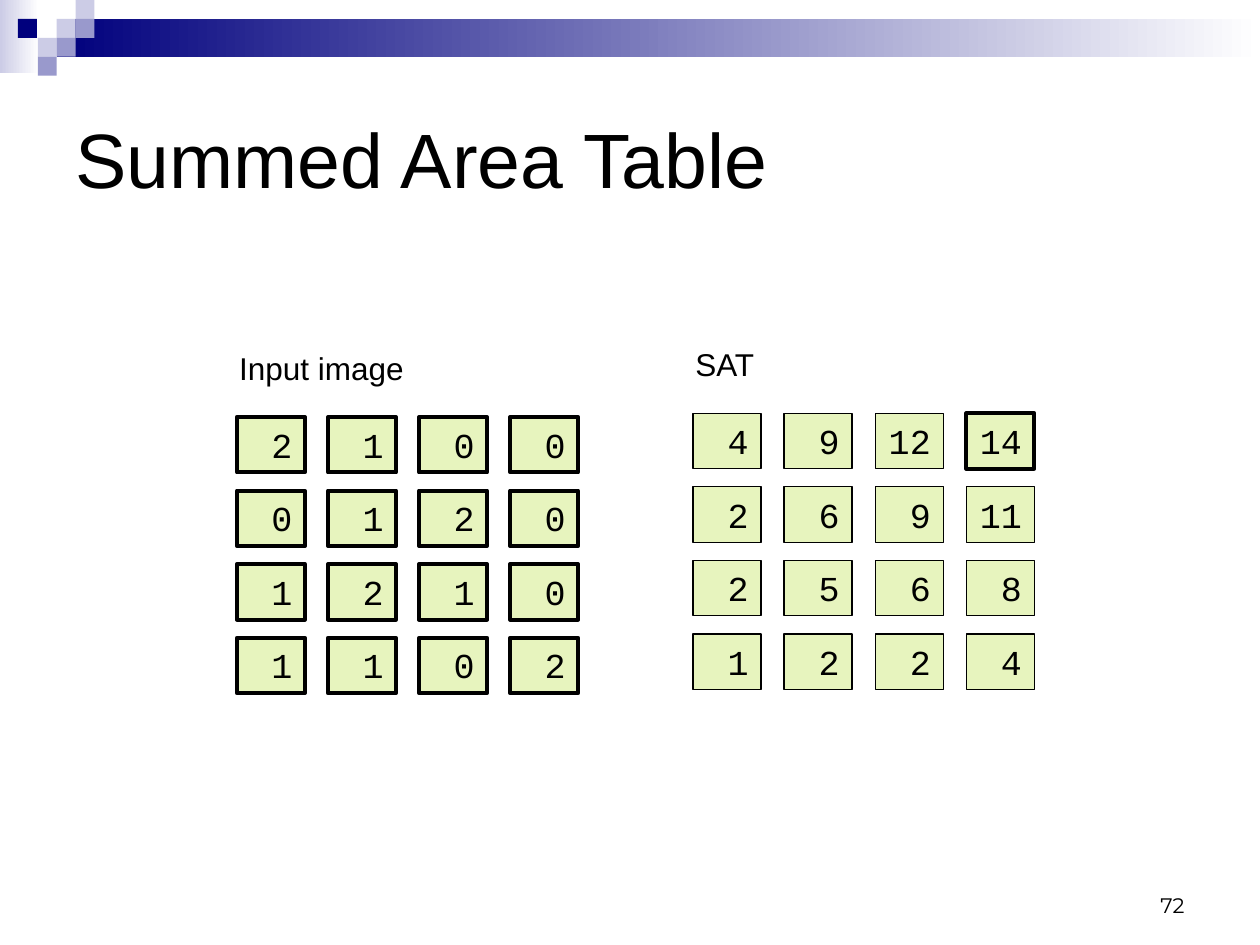
from pptx import Presentation
from pptx.dml.color import RGBColor
from pptx.enum.shapes import MSO_SHAPE
from pptx.enum.text import MSO_ANCHOR, PP_ALIGN
from pptx.util import Inches, Pt

RECT = MSO_SHAPE.RECTANGLE
LEFT, RIGHT = PP_ALIGN.LEFT, PP_ALIGN.RIGHT
TOP, MIDDLE, BOTTOM = MSO_ANCHOR.TOP, MSO_ANCHOR.MIDDLE, MSO_ANCHOR.BOTTOM

COLORS = {
    "black": "000000",
    "white": "FFFFFF",
    "navy": "00007D",
    "lilac": "9999CC",
    "pale": "CCCCE6",
    "cell": "E7F4BE",
}


def rgb(name):
    return RGBColor.from_string(COLORS[name])


def write(sp, text, size=18, font="Arial", align=LEFT, anchor=TOP, wrap=True):
    tf = sp.text_frame
    tf.word_wrap = wrap
    tf.vertical_anchor = anchor
    p = tf.paragraphs[0]
    p.alignment = align
    r = p.add_run()
    r.text = text
    r.font.size = Pt(size)
    r.font.name = font
    r.font.color.rgb = rgb("black")


prs = Presentation()
prs.slide_width, prs.slide_height = Inches(10), Inches(7.5)
s = prs.slides.add_slide(prs.slide_layouts[5])

# Header: two fading bars and a scatter of small squares
bars = [(0, 0, 0.31, 0.58, "pale"), (0.45, 0.15, 9.55, 0.3, "navy")]
for x, y, w, h, color in bars:
    sp = s.shapes.add_shape(RECT, Inches(x), Inches(y), Inches(w), Inches(h))
    sp.shadow.inherit = False
    sp.line.fill.background()
    sp.fill.gradient()
    sp.fill.gradient_angle = 0
    for stop, name in zip(sp.fill.gradient_stops, (color, "white")):
        stop.color.rgb = rgb(name)

SQUARE = 0.15
squares = [(3, 1, "pale"), (4, 0, "pale"), (4, 1, "lilac"), (2, 2, "pale"),
           (0.95, 1, "navy"), (3, 2, "lilac"), (2, 3, "lilac")]
for col, row, color in squares:
    sp = s.shapes.add_shape(RECT, Inches(col * SQUARE), Inches(row * SQUARE),
                            Inches(SQUARE), Inches(SQUARE))
    sp.shadow.inherit = False
    sp.line.fill.background()
    sp.fill.solid()
    sp.fill.fore_color.rgb = rgb(color)

title = s.shapes.title
title.left, title.top = Inches(0.5), Inches(0.5)
title.width, title.height = Inches(9), Inches(1.5)
write(title, "Summed Area Table", size=44, anchor=MIDDLE)

# Two number grids, each with a caption above its first row
input_image = [[2, 1, 0, 0], [0, 1, 2, 0], [1, 2, 1, 0], [1, 1, 0, 2]]
summed_area = [[4, 9, 12, 14], [2, 6, 9, 11], [2, 5, 6, 8], [1, 2, 2, 4]]
COL_STEP, ROW_STEP = 0.723, 0.584
CELL_W, CELL_H = 0.54, 0.44
THICK, THIN = 2.25, 0.75

grids = [("Input image", 1.88, 3.31, 1.52, input_image, THICK),
         ("SAT", 5.5, 3.28, 0.67, summed_area, THIN)]
for caption, left, top, caption_w, values, weight in grids:
    for row, numbers in enumerate(values):
        for col, number in enumerate(numbers):
            sp = s.shapes.add_shape(
                RECT, Inches(left + col * COL_STEP), Inches(top + row * ROW_STEP),
                Inches(CELL_W), Inches(CELL_H))
            sp.shadow.inherit = False
            sp.fill.solid()
            sp.fill.fore_color.rgb = rgb("cell")
            sp.line.color.rgb = rgb("black")
            # The top right cell holds the total and is always heavy
            is_total = row == 0 and col == len(numbers) - 1
            sp.line.width = Pt(THICK if is_total else weight)
            sp.text_frame.margin_left = Inches(0.05)
            write(sp, str(number), size=20, font="Courier New", align=RIGHT)
    box = s.shapes.add_textbox(Inches(left - 0.08), Inches(top - 0.59),
                               Inches(caption_w), Inches(0.4))
    write(box, caption, wrap=False)

box = s.shapes.add_textbox(Inches(7.17), Inches(6.83), Inches(2.33), Inches(0.5))
write(box, "72", size=12, font="Montserrat", align=RIGHT, anchor=BOTTOM)

prs.save("out.pptx")
